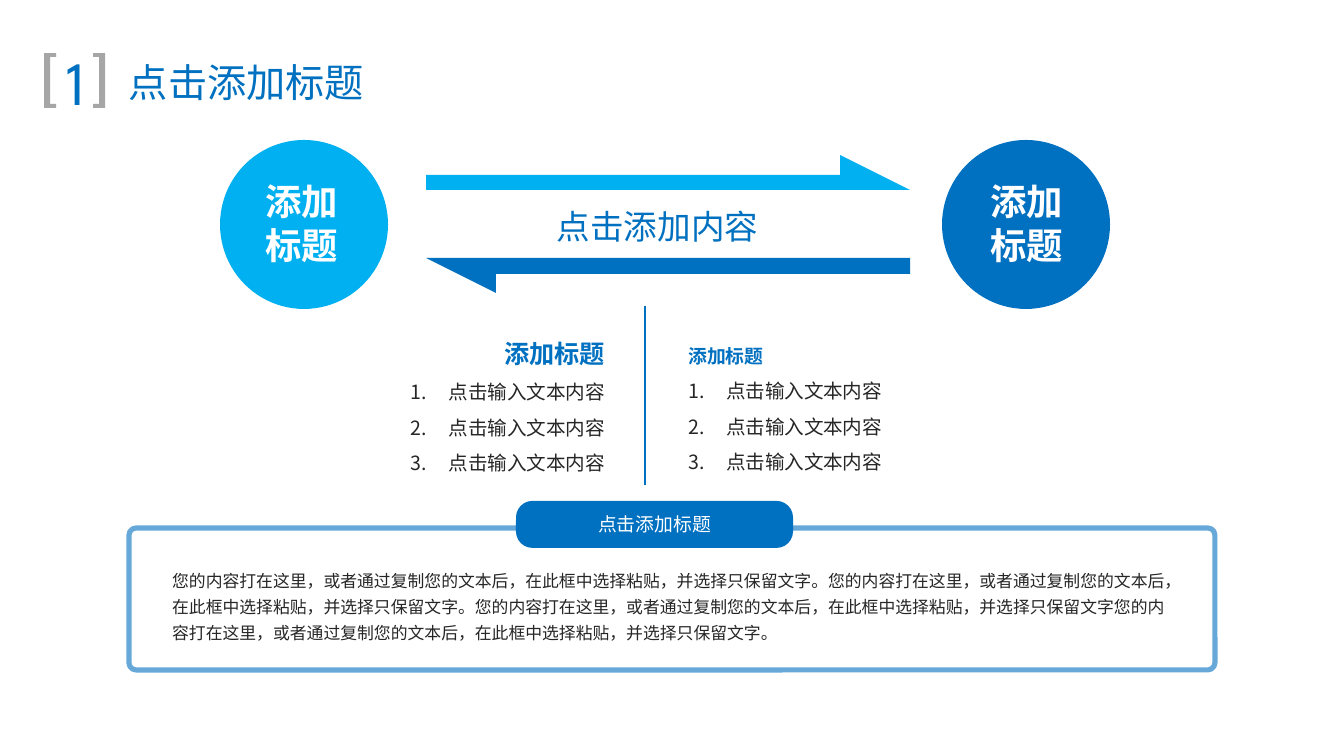
from dataclasses import dataclass

from lxml import etree
from pptx import Presentation
from pptx import util as u
from pptx.dml.color import RGBColor
from pptx.enum import shapes, text
from pptx.oxml import ns

EMU_PER_PX = 914400 / 134.4


def px(n):
    return u.Emu(round(n * EMU_PER_PX))


def add_xml(parent, tag, **attrs):
    return etree.SubElement(parent, ns.qn(tag), attrs)


@dataclass(frozen=True)
class Theme:
    blue: str = "0070C0"
    sky: str = "00B0F0"
    grey: str = "A6A6A6"
    ink: str = "262626"
    white: str = "FFFFFF"
    latin: str = "League Spartan"
    cjk: str = "Noto Sans CJK SC"
    number: float = 33
    title: float = 21
    circle: float = 19.5
    centre: float = 18
    heading: float = 13.5
    item: float = 10.5
    label: float = 10.1
    body: float = 9


class Canvas:
    def __init__(self, s, theme):
        self.s = s
        self.t = theme

    def paint(self, sp, fill=None, line=None, width=0):
        sp.shadow.inherit = False
        for part, color in ((sp.fill, fill), (sp.line.fill, line)):
            if color:
                part.solid()
                part.fore_color.rgb = RGBColor.from_string(color)
            else:
                part.background()
        if line:
            sp.line.width = u.Pt(width)
        return sp

    def shape(self, kind, box, radius=None, **look):
        sp = self.s.shapes.add_shape(kind, *map(px, box))
        if radius is not None:
            sp.adjustments[0] = radius
        return self.paint(sp, **look)

    def outline(self, points, fill):
        builder = self.s.shapes.build_freeform(*points[0], scale=EMU_PER_PX)
        builder.add_line_segments(points[1:], close=True)
        return self.paint(builder.convert_to_shape(), fill)

    def rule(self, x, top, bottom, color, width):
        line = self.s.shapes.add_connector(
            shapes.MSO_CONNECTOR.STRAIGHT, px(x), px(top), px(x), px(bottom))
        line.line.color.rgb = RGBColor.from_string(color)
        line.line.width = u.Pt(width)
        add_xml(line._element.spPr, "a:effectLst")

    def paragraph(self, p, words, size, color, bold=False, font=None,
                  numbered=False, **layout):
        for name, value in layout.items():
            setattr(p, name, value)
        if numbered:
            pPr = p._p.get_or_add_pPr()
            pPr.set("marL", str(px(38)))
            pPr.set("indent", str(-px(38)))
            add_xml(pPr, "a:buFont", typeface="+mj-lt")
            add_xml(pPr, "a:buAutoNum", type="arabicPeriod")
        r = p.add_run()
        r.text = words
        style = {"size": u.Pt(size), "bold": bold, "name": font or self.t.cjk}
        for name, value in style.items():
            setattr(r.font, name, value)
        r.font.color.rgb = RGBColor.from_string(color)
        add_xml(r._r.get_or_add_rPr(), "a:ea", typeface=self.t.cjk)

    def box(self, box, paragraphs, wrap=True, anchor=text.MSO_ANCHOR.TOP):
        tf = self.s.shapes.add_textbox(*map(px, box)).text_frame
        frame = {"word_wrap": wrap, "vertical_anchor": anchor,
                 "auto_size": text.MSO_AUTO_SIZE.SHAPE_TO_FIT_TEXT}
        for name, value in frame.items():
            setattr(tf, name, value)
        for i, content in enumerate(paragraphs):
            p = tf.add_paragraph() if i else tf.paragraphs[0]
            self.paragraph(p, **content)

    def numbered_list(self, box, heading_size, align):
        layout = {"alignment": align, "line_spacing": 1.5}
        heading = dict(words="添加标题", size=heading_size, color=self.t.blue,
                       bold=True, **layout)
        item = dict(words="点击输入文本内容", size=self.t.item,
                    color=self.t.ink, numbered=True, **layout)
        self.box(box, [heading] + [item] * 3, anchor=text.MSO_ANCHOR.BOTTOM)

    def bracket(self, outer, inner, stem):
        top, bottom, bar = 53, 108, 4
        self.outline([(inner, top), (outer, top), (outer, bottom),
                      (inner, bottom), (inner, bottom - bar),
                      (stem, bottom - bar), (stem, top + bar),
                      (inner, top + bar)], self.t.grey)

    def half_arrow(self, tail, tip, barb, edge, shaft, peak, fill):
        self.outline([(tail, shaft), (tail, edge), (tip, edge),
                      (barb, peak), (barb, shaft)], fill)


def main():
    prs = Presentation()
    prs.slide_width, prs.slide_height = px(1344), px(756)
    t = Theme()
    c = Canvas(prs.slides.add_slide(prs.slide_layouts[6]), t)
    center = text.PP_ALIGN.CENTER
    middle = text.MSO_ANCHOR.MIDDLE

    for box, words, size in (((114, 52, 265, 60), "点击添加标题", t.title),
                             ((44, 38, 63, 86), "1", t.number)):
        c.box(box, [dict(words=words, size=size, color=t.blue, font=t.latin,
                         alignment=center)], wrap=False, anchor=middle)
    c.bracket(44, 56, 50)
    c.bracket(105, 93, 99)

    for left, label_left, label_width, color in ((942, 970, 114, t.blue),
                                                 (220, 250, 103, t.sky)):
        c.shape(shapes.MSO_SHAPE.OVAL, (left, 140, 168, 169), fill=color)
        c.box((label_left, 173, label_width, 102),
              [dict(words="添加标题", size=t.circle, color=t.white, bold=True,
                    alignment=center)])

    c.half_arrow(426, 910, 840, edge=190, shaft=175, peak=155, fill=t.sky)
    c.half_arrow(910, 426, 496, edge=258, shaft=274, peak=293, fill=t.blue)
    c.box((439, 199, 437, 54), [dict(words="点击添加内容", size=t.centre,
                                     color=t.blue, alignment=center)])

    c.numbered_list((148, 314, 470, 167), t.heading, text.PP_ALIGN.RIGHT)
    c.numbered_list((675, 325, 540, 155), t.label, text.PP_ALIGN.LEFT)
    c.rule(645, 306, 485, t.blue, 0.75)

    rounded = shapes.MSO_SHAPE.ROUNDED_RECTANGLE
    frame = c.shape(rounded, (129, 528, 1086, 142), radius=0.05,
                    line=t.blue, width=2.75)
    color = frame.line._ln.find(".//" + ns.qn("a:srgbClr"))
    add_xml(color, "a:alpha", val="60000")

    pill = c.shape(rounded, (516, 501, 277, 47), radius=0.35, fill=t.blue)
    tf = pill.text_frame
    tf.word_wrap, tf.vertical_anchor = False, middle
    c.paragraph(tf.paragraphs[0], "点击添加标题", t.label, t.white,
                alignment=center)

    sentence = "您的内容打在这里，或者通过复制您的文本后，在此框中选择粘贴，并选择只保留文字"
    body = "。".join([sentence] * 2 + [sentence * 2]) + "。"
    c.box((159, 558, 1028, 93), [dict(words=body, size=t.body, color=t.ink,
                                      line_spacing=1.3)])

    prs.save("out.pptx")


if __name__ == "__main__":
    main()
